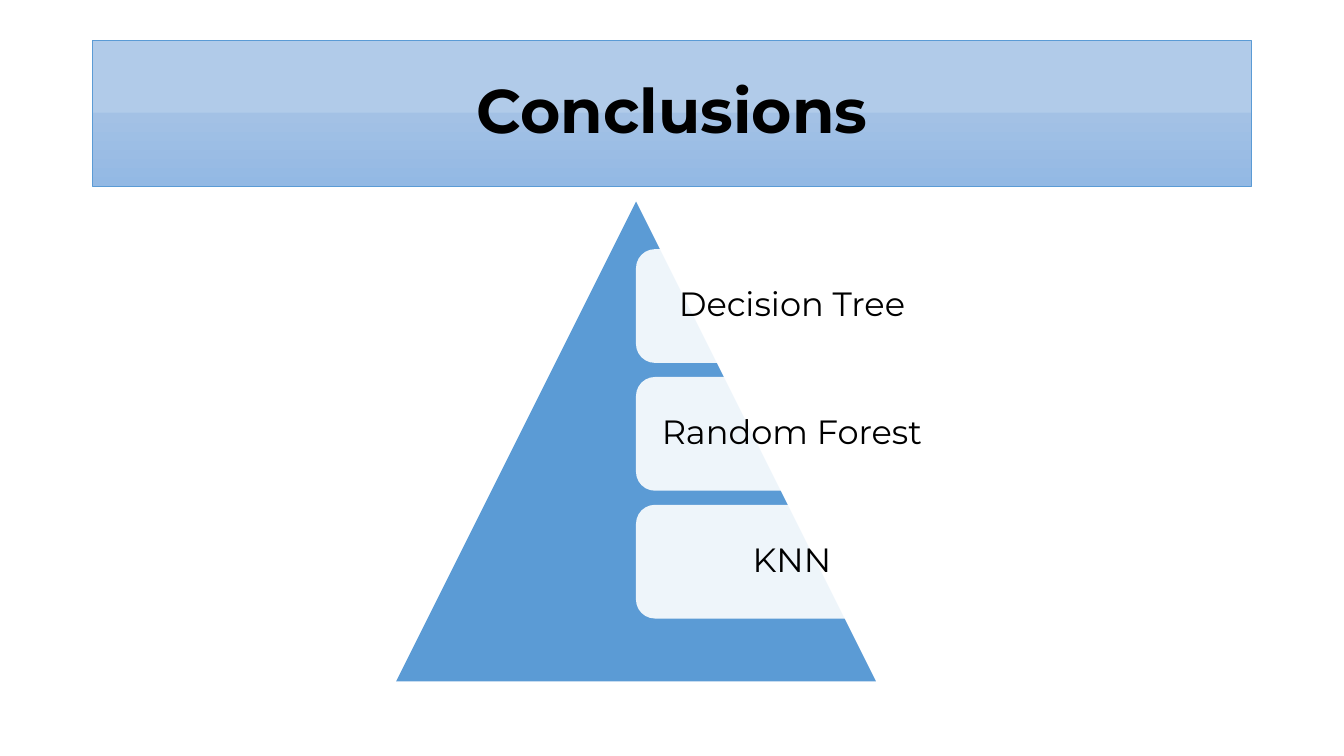
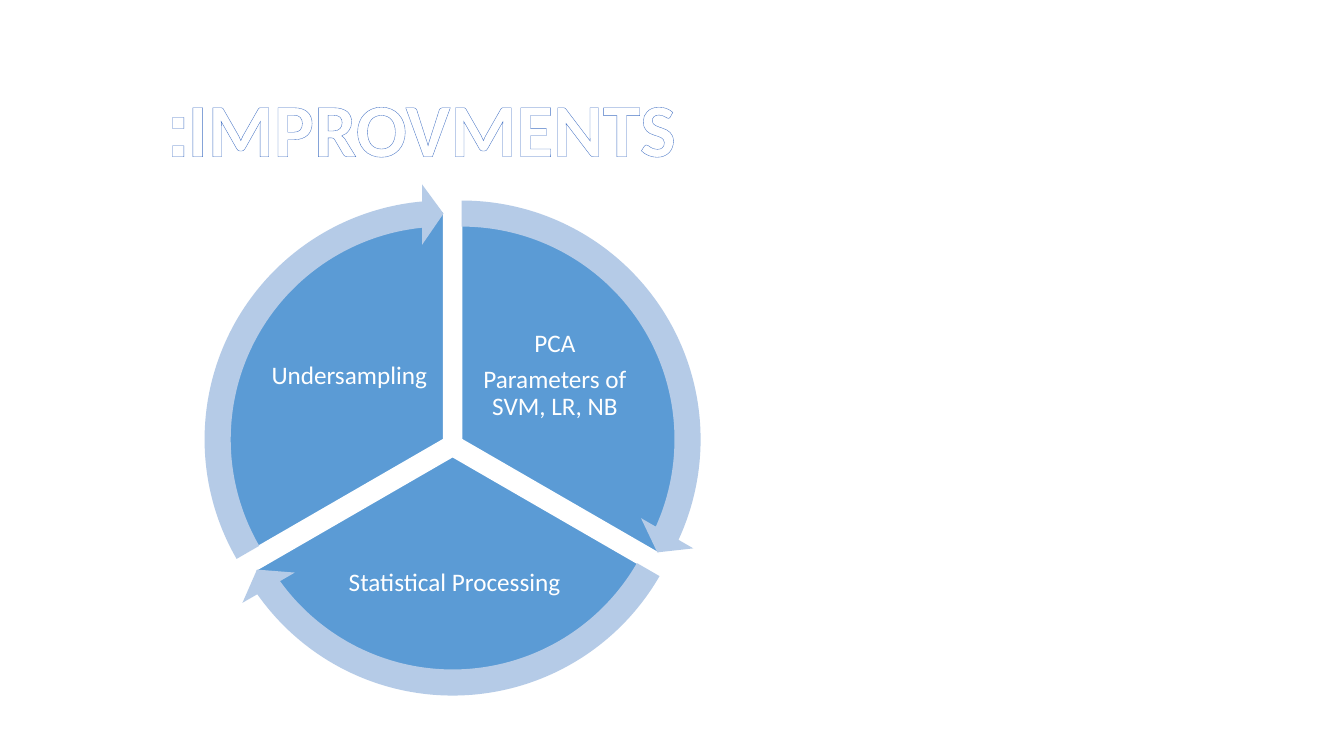
"""Build the conclusions pyramid and the improvements cycle slides."""
import copy

import lxml.etree
import pptx
import pptx.dml.color
import pptx.enum.shapes
import pptx.enum.text
import pptx.oxml.ns
import pptx.util

Pt = pptx.util.Pt
Color = pptx.dml.color.RGBColor
Kind = pptx.enum.shapes.MSO_SHAPE
qn = pptx.oxml.ns.qn

BLUE = Color(0x5B, 0x9B, 0xD5)
PALE = Color(0xB5, 0xCB, 0xE7)
EDGE = Color(0x44, 0x72, 0xC4)
WHITE = Color(0xFF, 0xFF, 0xFF)
BLACK = Color(0, 0, 0)
STOPS = [
    (0.49, Color(0xB1, 0xCB, 0xE9)),
    (0.5, Color(0xA3, 0xC1, 0xE5)),
    (1, Color(0x93, 0xB9, 0xE4)),
]


def draw(slide, kind, left, top, width, height, fill, line=None):
    """Add a flat preset shape."""
    shape = slide.shapes.add_shape(kind, Pt(left), Pt(top), Pt(width), Pt(height))
    shape.shadow.inherit = False
    shape.fill.solid()
    shape.fill.fore_color.rgb = fill
    if line is None:
        shape.line.fill.background()
    else:
        shape.line.color.rgb = line
        shape.line.width = Pt(1)
    return shape


def write(shape, lines, face, size, color, bold=False, pad=7.2, space=0.9, wrap=True):
    """Fill a shape with centred right-to-left paragraphs."""
    frame = shape.text_frame
    frame.word_wrap = wrap
    frame.vertical_anchor = pptx.enum.text.MSO_ANCHOR.MIDDLE
    frame.margin_left = frame.margin_right = Pt(pad)
    frame.margin_top = frame.margin_bottom = Pt(min(pad, 3.6))
    frame.text = "\n".join(lines)
    for para in frame.paragraphs:
        para._p.get_or_add_pPr().set("rtl", "1")
        para.alignment = pptx.enum.text.PP_ALIGN.CENTER
        para.line_spacing = space
        if len(lines) > 1:
            para.space_after = Pt(size * 0.35)
        para.font.name = face
        para.font.size = Pt(size)
        para.font.bold = bold
        para.font.color.rgb = color
    return frame


deck = pptx.Presentation()
deck.slide_width, deck.slide_height = Pt(960), Pt(540)
blank = deck.slide_layouts[6]

slide = deck.slides.add_slide(blank)
band = draw(slide, Kind.RECTANGLE, 66, 28.8, 828, 104.4, PALE, BLUE)
band.line.width = Pt(0.5)
band.fill.gradient()
band.fill.gradient_angle = 270
stops = band._element.spPr.find(qn("a:gradFill")).find(qn("a:gsLst"))
stops.append(copy.deepcopy(stops[0]))
for stop, (place, color) in zip(band.fill.gradient_stops, STOPS):
    stop.position = place
    stop.color.rgb = color
write(band, ["Conclusions"], "Montserrat", 44, BLACK, bold=True)

draw(slide, Kind.ISOSCELES_TRIANGLE, 283, 144, 342.7, 342.7, BLUE)
for row, name in enumerate(["Decision Tree", "Random Forest", "KNN"]):
    bar = draw(slide, Kind.ROUNDED_RECTANGLE, 454.3, 178 + row * 91.3, 222.7, 81.2, WHITE)
    tint = bar._element.spPr.find(qn("a:solidFill"))[0]
    lxml.etree.SubElement(tint, qn("a:alpha")).set("val", "90000")
    write(bar, [name], "Montserrat", 24, BLACK)

slide = deck.slides.add_slide(blank)
title = slide.shapes.add_textbox(Pt(110.9), Pt(54), Pt(381.6), Pt(72.7))
frame = write(title, ["IMPROVMENTS:"], "Calibri", 54, WHITE, bold=True, space=1, wrap=False)
frame.auto_size = pptx.enum.text.MSO_AUTO_SIZE.SHAPE_TO_FIT_TEXT
font = frame.paragraphs[0].runs[0].font
font.color.rgb = WHITE
trim = lxml.etree.Element(qn("a:ln"), w=str(Pt(0.8)))
fill = lxml.etree.SubElement(trim, qn("a:solidFill"))
lxml.etree.SubElement(fill, qn("a:srgbClr")).set("val", str(EDGE))
font._element.insert(0, trim)

PIE, RING, HEAD = 325.4, 365.8, 3.275
PARTS = [
    (329.8, 313.9, 162, 18, (338.4, 220.3, 115.9, 96.5), ["PCA", "Parameters of SVM, LR, NB"]),
    (323.3, 326.2, 18, 90, (237.6, 374.4, 174.2, 85), ["Statistical Processing"]),
    (316.8, 313.9, 90, 162, (191.5, 220.3, 115.9, 96.5), ["Undersampling"]),
]
for x, y, start, end, box, lines in PARTS:
    pie = draw(slide, Kind.PIE, x - PIE / 2, y - PIE / 2, PIE, PIE, BLUE, WHITE)
    pie.adjustments[0], pie.adjustments[1] = start, end
    label = slide.shapes.add_textbox(*map(Pt, box))
    write(label, lines, "Calibri", 18, WHITE, pad=2)
for x, y, start, end, box, lines in PARTS:
    ring = draw(slide, Kind.CIRCULAR_ARROW, x - RING / 2, y - RING / 2, RING, RING, PALE)
    for spot, value in enumerate([0.051, HEAD, end - HEAD, start, 0.059]):
        ring.adjustments[spot] = value

deck.save("out.pptx")
